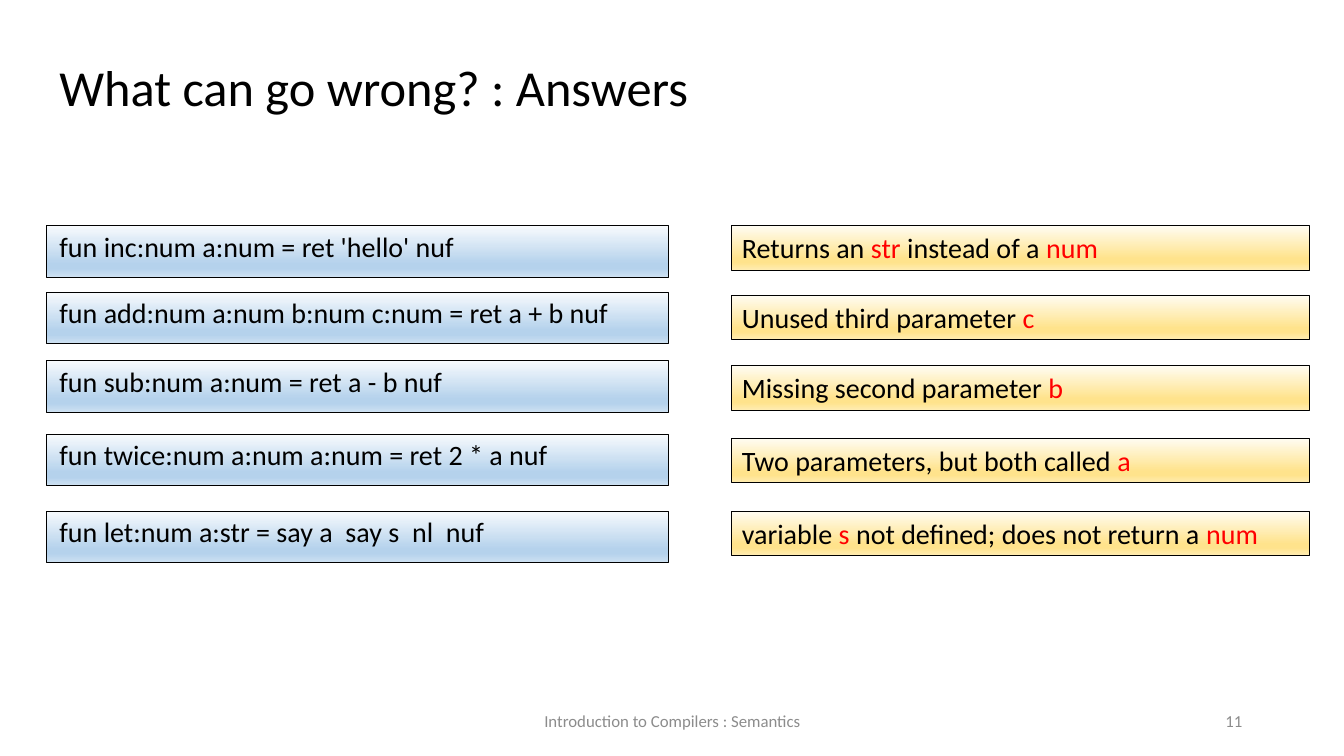
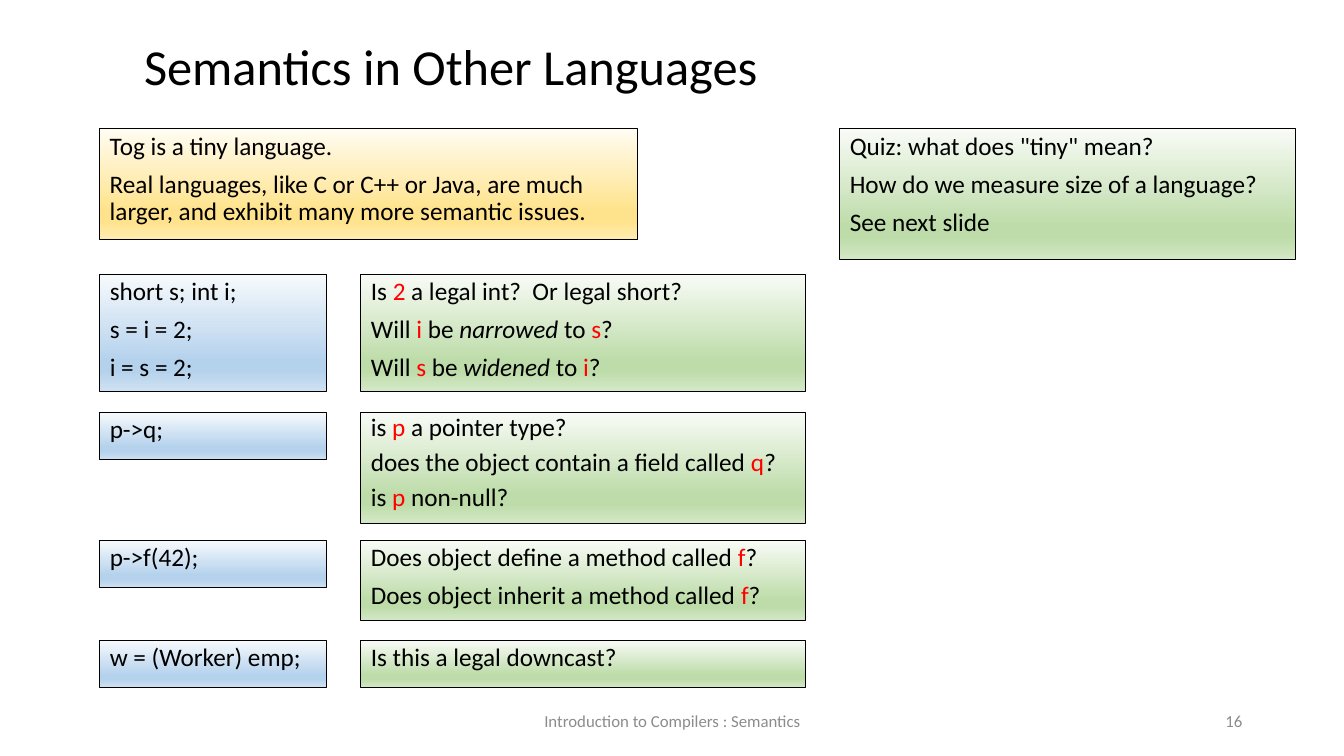
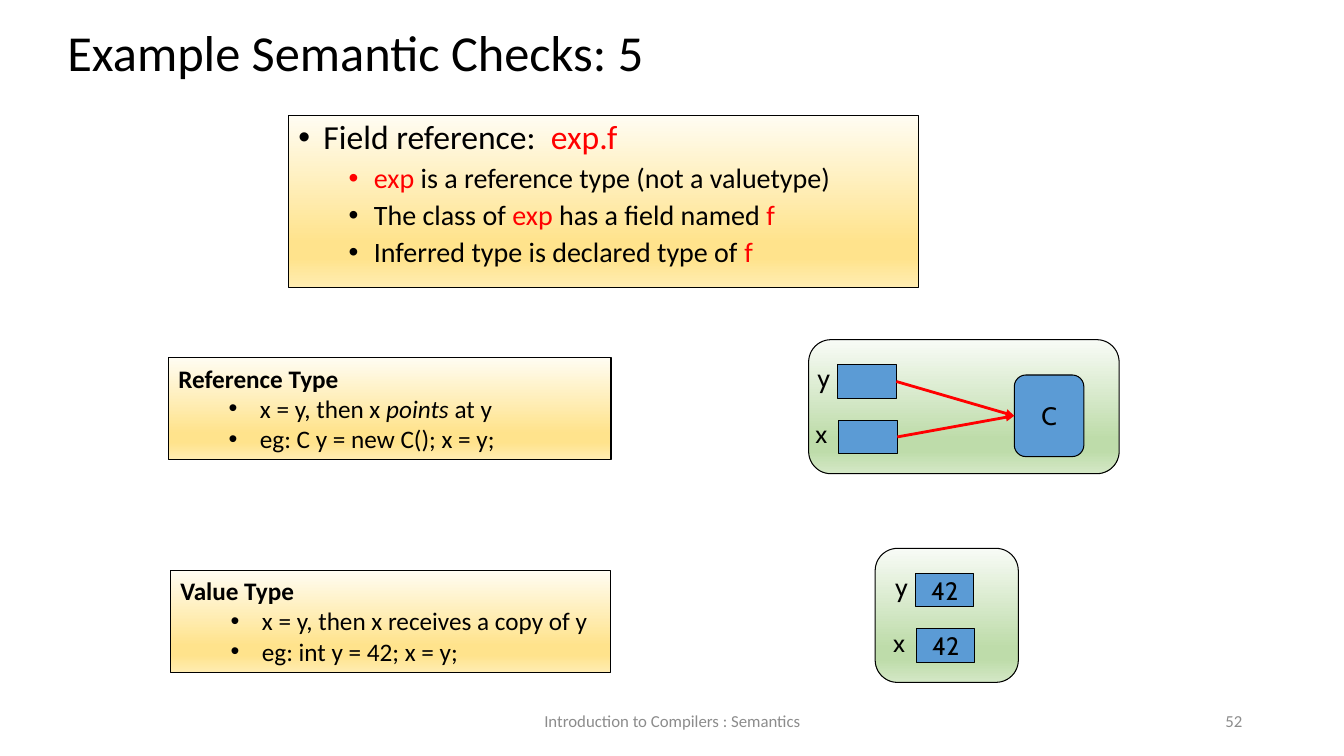
from lxml import etree
from pptx import Presentation
from pptx.dml.color import RGBColor
from pptx.enum.shapes import MSO_CONNECTOR, MSO_SHAPE
from pptx.enum.text import MSO_ANCHOR, PP_ALIGN
from pptx.oxml.ns import qn
from pptx.util import Inches, Pt

RECT, ROUNDED = MSO_SHAPE.RECTANGLE, MSO_SHAPE.ROUNDED_RECTANGLE
STRAIGHT = MSO_CONNECTOR.STRAIGHT
TOP, MIDDLE = MSO_ANCHOR.TOP, MSO_ANCHOR.MIDDLE
LEFT, CENTER, RIGHT = PP_ALIGN.LEFT, PP_ALIGN.CENTER, PP_ALIGN.RIGHT
LEFT_SITE, RIGHT_SITE = 1, 3

COLORS = {"text": "000000", "accent": "FF0000", "footer": "8C8C8C", "memory": "5B9BD5"}
GRADIENTS = {
    "code": ("F7FAFD", "B5D2EC", "B5D2EC", "CEE1F2"),
    "note": ("FFFCF2", "FFE38C", "FFE38C", "FFECB2"),
    "question": ("F8FBF6", "BEDCAA", "BEDCAA", "D4E8C6"),
}
GRADIENT_STOPS = (0, 74, 83, 100)
FOOTER = "Introduction to Compilers : Semantics"

# In the texts, ^ encloses accent words and ~ encloses italic words.
MISTAKES = [
    (2.24, "fun inc:num a:num = ret 'hello' nuf",
     2.24, "Returns an ^str^ instead of a ^num^"),
    (2.9, "fun add:num a:num b:num c:num = ret a + b nuf",
     2.93, "Unused third parameter ^c^"),
    (3.58, "fun sub:num a:num = ret a - b nuf",
     3.63, "Missing second parameter ^b^"),
    (4.31, "fun twice:num a:num a:num = ret 2 * a nuf",
     4.35, "Two parameters, but both called ^a^"),
    (5.07, "fun let:num a:str = say a  say s  nl  nuf",
     5.07, "variable ^s^ not defined; does not return a ^num^"),
]

TINY_NOTE = [
    "Tog is a tiny language.",
    "Real languages, like C or C++ or Java, are much larger, "
    "and exhibit many more semantic issues.",
]
QUIZ = [
    'Quiz: what does "tiny" mean?',
    "How do we measure size of a language?",
    "See next slide",
]
ISSUES = [
    (2.72, 1.16, ["short s; int i;", "s = i = 2;", "i = s = 2;"], 1.16,
     ["Is ^2 ^a legal int?  Or legal short?",
      "Will ^i^ be ~narrowed~ to ^s^?",
      "Will ^s^ be ~widened~ to ^i^?"], 0.9),
    (4.09, 0.47, ["p->q;"], 1.1,
     ["is ^p ^a pointer type?",
      "does the object contain a field called ^q^?",
      "is ^p^ non-null?"], 0.8),
    (5.36, 0.47, ["p->f(42);"], 0.8,
     ["Does object define a method called ^f^?",
      "Does object inherit a method called ^f^?"], 0.9),
    (6.35, 0.47, ["w = (Worker) emp;"], 0.47, ["Is this a legal downcast?"], 0.9),
]

FIELD_CHECK = [
    "Field reference:  ^exp.f^",
    "^exp ^is a reference type (not a valuetype)",
    "The class of ^exp ^has a field named ^f^",
    "Inferred type is declared type of ^f^",
]
TYPE_KINDS = [
    (1.67, 3.55, 4.39,
     ["Reference Type", "x = y, then x ~points ~at y", "eg: C y = new C(); x = y;"]),
    (1.69, 5.66, 4.37,
     ["Value Type", "x = y, then x receives a copy of y", "eg: int y = 42; x = y;"]),
]
VARIABLES = [("y", 0.3), ("x", 0.33)]
REFERENCE_PANEL = (8.02, 3.37, 3.08, 1.33)
VALUE_PANEL = (8.68, 5.44, 1.42, 1.33)


def rgb(name):
    return RGBColor.from_string(COLORS[name])


def styled_runs(text):
    for i, piece in enumerate(text.split("^")):
        for j, part in enumerate(piece.split("~")):
            if part:
                yield part, i % 2 == 1, j % 2 == 1


def add_bullet(paragraph, margin, hanging):
    props = paragraph._p.get_or_add_pPr()
    props.set("marL", str(Inches(margin)))
    props.set("indent", str(-Inches(hanging)))
    etree.SubElement(props, qn("a:buFont"), typeface="Arial")
    etree.SubElement(props, qn("a:buChar"), char="•")


def write(shape, lines, size=18, font="Calibri", color="text", align=LEFT, anchor=TOP,
          spacing=1.0, before=0, insets=(0.1, 0.05), bullets=None, sizes=None,
          bold_first=False):
    frame = shape.text_frame
    frame.word_wrap = True
    frame.vertical_anchor = anchor
    frame.margin_left = frame.margin_right = Inches(insets[0])
    frame.margin_top = frame.margin_bottom = Inches(insets[1])
    for i, line in enumerate(lines):
        paragraph = frame.add_paragraph() if i else frame.paragraphs[0]
        if bullets and bullets[i]:
            add_bullet(paragraph, *bullets[i])
        paragraph.alignment = align
        paragraph.line_spacing = spacing
        if i and before:
            paragraph.space_before = Pt(before)
        for text, accent, italic in styled_runs(line):
            run = paragraph.add_run()
            run.text = text
            run.font.name = font
            run.font.size = Pt(sizes[i] if sizes else size)
            run.font.bold = bold_first and i == 0
            run.font.italic = italic
            run.font.color.rgb = rgb("accent" if accent else color)


def add_text(slide, at, text, **formats):
    write(slide.shapes.add_textbox(*map(Inches, at)), [text], **formats)


def add_box(slide, at, fill, lines=(), outline=RECT, **formats):
    box = slide.shapes.add_shape(outline, *map(Inches, at))
    box.shadow.inherit = False
    box.line.color.rgb = rgb("text")
    box.line.width = Pt(0.75)
    if fill in GRADIENTS:
        box.fill.gradient()
        box.fill.gradient_angle = 270
        stops = box._element.spPr.find(qn("a:gradFill")).find(qn("a:gsLst"))
        for stop in list(stops):
            stops.remove(stop)
        for position, color in zip(GRADIENT_STOPS, GRADIENTS[fill]):
            stop = etree.SubElement(stops, qn("a:gs"), pos=str(position * 1000))
            etree.SubElement(stop, qn("a:srgbClr"), val=color)
    else:
        box.fill.solid()
        box.fill.fore_color.rgb = rgb(fill)
    if lines:
        write(box, lines, **formats)
    return box


def add_arrow(slide, source, target):
    arrow = slide.shapes.add_connector(STRAIGHT, 0, 0, 0, 0)
    arrow.begin_connect(source, RIGHT_SITE)
    arrow.end_connect(target, LEFT_SITE)
    arrow.line.color.rgb = rgb("accent")
    arrow.line.width = Pt(2)
    etree.SubElement(arrow.line._get_or_add_ln(), qn("a:tailEnd"), type="triangle")
    etree.SubElement(arrow._element.spPr, qn("a:effectLst"))


def add_slide(deck, title, title_at, number, **title_format):
    slide = deck.slides.add_slide(deck.slide_layouts[6])
    add_text(slide, title_at, title, size=36, **title_format)
    small = {"size": 12, "color": "footer", "anchor": MIDDLE}
    add_text(slide, (4.42, 6.95, 4.5, 0.4), FOOTER, align=CENTER, **small)
    add_text(slide, (9.42, 6.95, 3, 0.4), str(number), align=RIGHT, **small)
    return slide


def add_variables(slide, panel, inset, value=None):
    left, top = panel[:2]
    add_box(slide, panel, "question", outline=ROUNDED)
    cells = []
    for i, (name, label_gap) in enumerate(VARIABLES):
        x, y = left + inset + 0.01 * i, top + 0.25 + 0.55 * i
        cells.append(add_box(slide, (x, y, 0.58, 0.33), "memory", [value] if value else (),
                             font="Cabin", align=CENTER, anchor=MIDDLE))
        add_text(slide, (x - label_gap, y - 0.07, 0.33, 0.4), name, font="Cabin")
    return cells


def build_answers(deck):
    slide = add_slide(deck, "What can go wrong? : Answers", (0.46, 0.43, 11.4, 1.01), 11,
                      insets=(0.13, 0.13))
    for code_top, code, answer_top, answer in MISTAKES:
        add_box(slide, (0.46, code_top, 6.17, 0.51), "code", [code], size=20,
                spacing=0.9, insets=(0.13, 0.07))
        add_box(slide, (7.26, answer_top, 5.73, 0.44), "note", [answer], size=20)


def build_other_languages(deck):
    slide = add_slide(deck, "Semantics in Other Languages", (1.33, 0.29, 8.62, 0.8), 16,
                      anchor=MIDDLE, spacing=0.9)
    body = {"spacing": 0.9, "before": 7.5}
    add_box(slide, (0.99, 1.28, 5.33, 1.1), "note", TINY_NOTE, **body)
    add_box(slide, (8.33, 1.28, 4.52, 1.3), "question", QUIZ, **body)
    for top, code_height, code, height, questions, spacing in ISSUES:
        add_box(slide, (0.99, top, 2.25, code_height), "code", code, **body)
        add_box(slide, (3.58, top, 4.41, height), "question", questions,
                spacing=spacing, before=7.5)


def build_semantic_checks(deck):
    slide = add_slide(deck, "Example Semantic Checks: 5", (0.57, 0.18, 11.5, 0.73), 52,
                      anchor=MIDDLE, spacing=0.9)
    add_box(slide, (2.86, 1.15, 6.25, 1.7), "note", FIELD_CHECK, sizes=[24, 20, 20, 20],
            spacing=0.9, before=5, bullets=[(0.25, 0.25)] + [(0.75, 0.25)] * 3)
    for left, top, width, lines in TYPE_KINDS:
        add_box(slide, (left, top, width, 1.01), "note", lines, bold_first=True,
                bullets=[None, (0.81, 0.31), (0.81, 0.31)])
    references = add_variables(slide, REFERENCE_PANEL, 0.29)
    instance = add_box(slide, (10.06, 3.72, 0.69, 0.81), "memory", ["C"], outline=ROUNDED,
                       font="Cabin", align=CENTER, anchor=MIDDLE)
    for reference in references:
        add_arrow(slide, reference, instance)
    add_variables(slide, VALUE_PANEL, 0.4, "42")


def main():
    deck = Presentation()
    deck.slide_width, deck.slide_height = Inches(13.33), Inches(7.5)
    build_answers(deck)
    build_other_languages(deck)
    build_semantic_checks(deck)
    deck.save("out.pptx")


if __name__ == "__main__":
    main()
